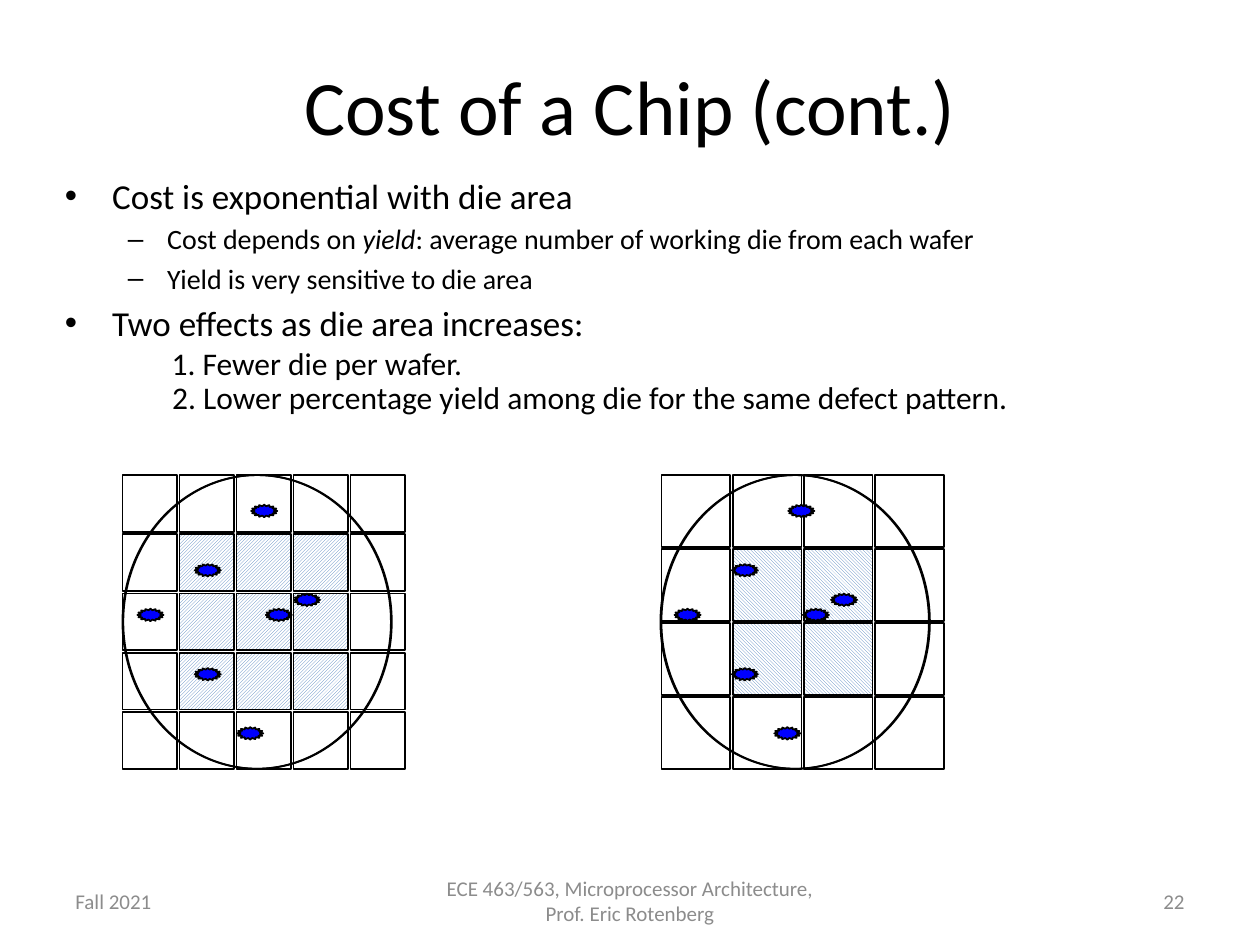
"""Build the slide on chip cost, with two wafers that share one defect pattern."""
from itertools import product

from lxml.etree import SubElement
from pptx import Presentation
from pptx.dml.color import RGBColor
from pptx.enum.dml import MSO_PATTERN as Pattern
from pptx.enum.shapes import MSO_SHAPE as Shape
from pptx.enum.text import MSO_ANCHOR as Anchor, PP_ALIGN as Align
from pptx.oxml.ns import qn
from pptx.util import Pt

COLORS = {"text": "000000", "line": "000000", "footer": "8C8C8C",
          "hatch": "4F81BD", "paper": "FFFFFF", "defect": "0000FF"}
RGB = {name: RGBColor.from_string(value) for name, value in COLORS.items()}

presentation = Presentation()
presentation.slide_width, presentation.slide_height = Pt(720), Pt(540)
slide = presentation.slides.add_slide(presentation.slide_layouts[6])


def add_text(box, text, size, color="text", align=Align.LEFT, anchor=Anchor.TOP, wrap=True):
    frame = slide.shapes.add_textbox(*map(Pt, box)).text_frame
    frame.word_wrap, frame.vertical_anchor = wrap, anchor
    paragraph = frame.paragraphs[0]
    paragraph.alignment = align
    run = paragraph.add_run()
    run.text = text
    for name, value in {"name": "Calibri", "size": Pt(size)}.items():
        setattr(run.font, name, value)
    run.font.color.rgb = RGB[color]


def add_outlined(kind, left, top, width, height):
    shape = slide.shapes.add_shape(kind, Pt(left), Pt(top), Pt(width), Pt(height))
    shape.shadow.inherit = False
    shape.fill.background()
    shape.line.color.rgb = RGB["line"]
    shape.line.width = Pt(1)
    return shape


add_text((78, 30, 564, 60), "Cost of a Chip (cont.)", 44, align=Align.CENTER, anchor=Anchor.MIDDLE)

LEVELS = [{"mark": "•", "size": 20, "margin": 27, "hang": 27},
          {"mark": "–", "size": 16, "margin": 58.5, "hang": 22.5}]
BULLETS = [
    (0, [("Cost is exponential with die area", False)]),
    (1, [("Cost depends on ", False), ("yield", True),
         (": average number of working die from each wafer", False)]),
    (1, [("Yield is very sensitive to die area", False)]),
    (0, [("Two effects as die area increases:", False)]),
]
body = slide.shapes.add_textbox(Pt(30), Pt(96), Pt(612), Pt(112)).text_frame
body.word_wrap = True
for index, (level, pieces) in enumerate(BULLETS):
    style = LEVELS[level]
    paragraph = body.add_paragraph() if index else body.paragraphs[0]
    paragraph.level = level
    paragraph.space_before = Pt(0.2 * style["size"] if index else 0)
    properties = paragraph._p.get_or_add_pPr()
    properties.set("marL", str(Pt(style["margin"])))
    properties.set("indent", str(-Pt(style["hang"])))
    SubElement(properties, qn("a:buFont"), typeface="Arial")
    SubElement(properties, qn("a:buChar"), char=style["mark"])
    for text, italic in pieces:
        run = paragraph.add_run()
        run.text = text
        for name, value in {"name": "Calibri", "size": Pt(style["size"]), "italic": italic}.items():
            setattr(run.font, name, value)
        run.font.color.rgb = RGB["text"]

TOP, GRID_WIDTH, GRID_HEIGHT, GAP = 271.5, 161.4, 167.8, 1.4
WAFER_WIDTH = 153.4
DEFECTS = [(40.7, 110.2), (65, 144), (8, 76.3), (40.7, 50.8),
           (73, 16.9), (97.4, 67.7), (81.3, 76.3)]
WAFERS = [
    {"left": 70, "overlay": 70.5, "count": 5, "pattern": Pattern.LIGHT_UPWARD_DIAGONAL},
    {"left": 378, "overlay": 377.4, "count": 4, "pattern": Pattern.LIGHT_DOWNWARD_DIAGONAL},
]
for wafer in WAFERS:
    count = wafer["count"]
    die_width = (GRID_WIDTH - GAP * (count - 1)) / count
    die_height = (GRID_HEIGHT - GAP * (count - 1)) / count
    add_outlined(Shape.OVAL, wafer["left"], TOP, WAFER_WIDTH, GRID_HEIGHT)
    for row, column in product(range(count), repeat=2):
        die = add_outlined(Shape.RECTANGLE, wafer["left"] + column * (die_width + GAP),
                           TOP + row * (die_height + GAP), die_width, die_height)
        if 0 < row < count - 1 and 0 < column < count - 1:
            die.fill.patterned()
            die.fill.pattern = wafer["pattern"]
            die.fill.fore_color.rgb = RGB["hatch"]
            die.fill.back_color.rgb = RGB["paper"]
    add_outlined(Shape.OVAL, wafer["overlay"], TOP, WAFER_WIDTH, GRID_HEIGHT)
    for x, y in DEFECTS:
        defect = add_outlined(Shape.STAR_16_POINT, wafer["overlay"] + x, TOP + y, 15, 7.2)
        defect.adjustments[0] = 0.375
        defect.fill.solid()
        defect.fill.fore_color.rgb = RGB["defect"]

FOOTERS = [
    (246, 228, "ECE 463/563, Microprocessor Architecture, Prof. Eric Rotenberg", Align.CENTER),
    (36, 168, "Fall 2021", Align.LEFT),
    (516, 168, "22", Align.RIGHT),
]
for left, width, text, align in FOOTERS:
    add_text((left, 500.5, width, 28.75), text, 12, "footer", align, Anchor.MIDDLE)

add_text((91, 193, 183, 29), "1. Fewer die per wafer.", 18, wrap=False)
add_text((91.3, 212.5, 494, 29),
         "2. Lower percentage yield among die for the same defect pattern.", 18, wrap=False)

presentation.save("out.pptx")
